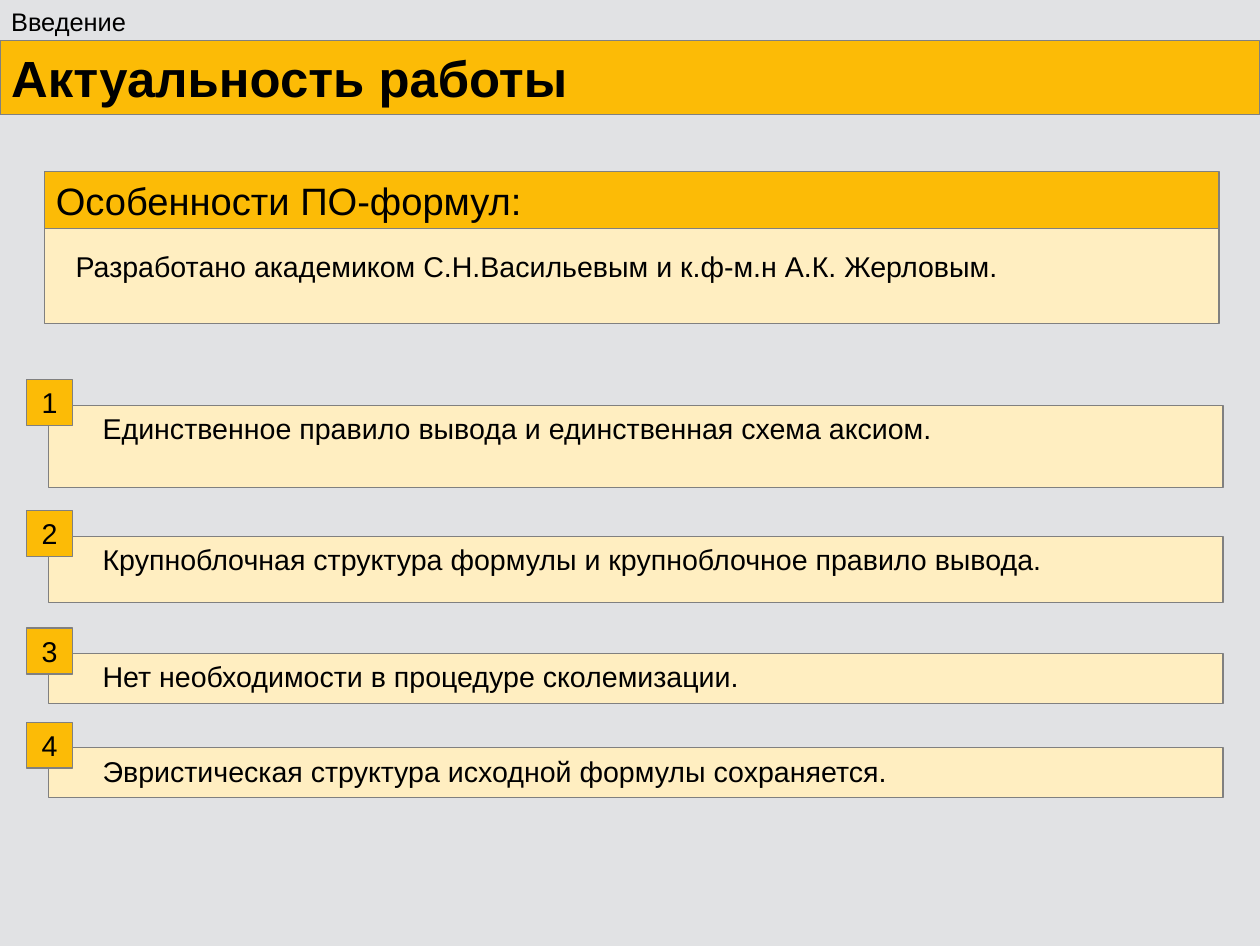
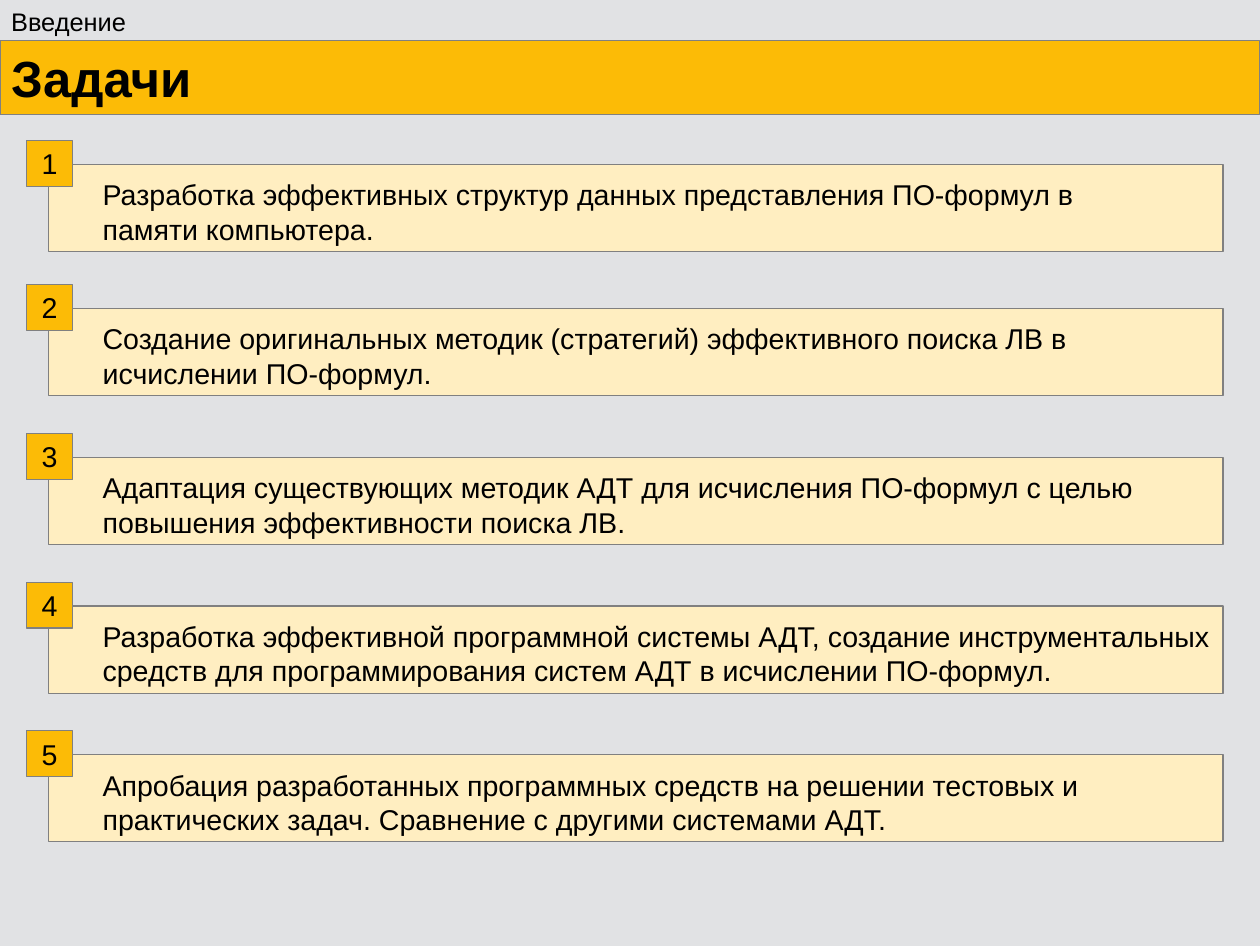
from pptx import Presentation
from pptx.dml.color import RGBColor
from pptx.enum.shapes import MSO_SHAPE
from pptx.enum.text import MSO_ANCHOR, PP_ALIGN
from pptx.util import Cm, Pt

COLORS = {
    "background": "E1E2E4",
    "accent": "FCBB06",
    "panel": "FFEEC1",
    "border": "808080",
    "text": "000000",
}
FONT = "Arial"
SLIDE_WIDTH, SLIDE_HEIGHT = 27.99, 21.01

# Card geometry in centimetres
CARD_WIDTH = 26.09
CARD_LEFT = 1.08
CARD_TEXT_LEFT = 2.03
CARD_TEXT_WIDTH = 25.5
BADGE_LEFT = 0.59
BADGE_SIZE = 1.02

SECTION = "Введение"
FEATURE_BADGE_RISE = 0.57
FEATURES = [  # top, height, text
    (9, 1.83, "Единственное правило вывода и единственная схема аксиом."),
    (11.91, 1.47, "Крупноблочная структура формулы и крупноблочное правило вывода."),
    (14.52, 1.11, "Нет необходимости в процедуре сколемизации."),
    (16.61, 1.11, "Эвристическая структура исходной формулы сохраняется."),
]
TASK_BADGE_RISE = 0.53
TASK_HEIGHT = 1.94
TASK_TEXT_OFFSET = 0.16
TASKS = [  # top, lines of text
    (3.65, ["Разработка эффективных структур данных представления ПО-формул в",
            "памяти компьютера."]),
    (6.85, ["Создание оригинальных методик (стратегий) эффективного поиска ЛВ в",
            "исчислении ПО-формул."]),
    (10.16, ["Адаптация существующих методик АДТ для исчисления ПО-формул с целью",
             "повышения эффективности поиска ЛВ."]),
    (13.46, ["Разработка эффективной программной системы АДТ, создание инструментальных",
             "средств для программирования систем АДТ в исчислении ПО-формул."]),
    (16.76, ["Апробация разработанных программных средств на решении тестовых и",
             "практических задач. Сравнение с другими системами АДТ."]),
]


def color(name):
    return RGBColor.from_string(COLORS[name])


def write_text(shape, lines, size=18, bold=False, align=PP_ALIGN.LEFT,
               anchor=MSO_ANCHOR.TOP):
    frame = shape.text_frame
    frame.word_wrap = True
    frame.vertical_anchor = anchor
    for index, line in enumerate(lines):
        paragraph = frame.paragraphs[0] if index == 0 else frame.add_paragraph()
        paragraph.alignment = align
        run = paragraph.add_run()
        run.text = line
        run.font.name = FONT
        run.font.size = Pt(size)
        run.font.bold = bold
        run.font.color.rgb = color("text")


def add_box(slide, left, top, width, height, fill):
    shape = slide.shapes.add_shape(
        MSO_SHAPE.RECTANGLE, Cm(left), Cm(top), Cm(width), Cm(height))
    shape.shadow.inherit = False
    shape.fill.solid()
    shape.fill.fore_color.rgb = color(fill)
    shape.line.color.rgb = color("border")
    shape.line.width = Pt(0)
    return shape


def add_label(slide, left, top, width, height, lines, **text_format):
    label = slide.shapes.add_textbox(Cm(left), Cm(top), Cm(width), Cm(height))
    write_text(label, lines, **text_format)


def add_band(slide, left, top, width, height, text, **text_format):
    band = add_box(slide, left, top, width, height, "accent")
    write_text(band, [text], anchor=MSO_ANCHOR.MIDDLE, **text_format)


def add_card(slide, number, top, height, lines, badge_rise, text_offset=0):
    add_box(slide, CARD_LEFT, top, CARD_WIDTH, height, "panel")
    add_label(slide, CARD_TEXT_LEFT, top + text_offset, CARD_TEXT_WIDTH,
              0.97 if len(lines) == 1 else 1.68, lines)
    add_band(slide, BADGE_LEFT, top - badge_rise, BADGE_SIZE, BADGE_SIZE,
             str(number), align=PP_ALIGN.CENTER)


def add_titled_slide(presentation, title):
    slide = presentation.slides.add_slide(presentation.slide_layouts[6])
    slide.background.fill.solid()
    slide.background.fill.fore_color.rgb = color("background")
    add_band(slide, 0, 0.9, SLIDE_WIDTH, 1.65, title, size=32, bold=True)
    add_label(slide, 0, 0.02, 3.05, 0.89, [SECTION], size=16)
    return slide


def build_relevance(presentation):
    slide = add_titled_slide(presentation, "Актуальность работы")
    # Headed panel
    add_box(slide, 0.99, 5.08, CARD_WIDTH, 2.11, "panel")
    add_band(slide, 0.99, 3.81, CARD_WIDTH, 1.27, "Особенности ПО-формул:", size=24)
    add_label(slide, 1.43, 5.41, 25, 0.97,
              ["Разработано академиком С.Н.Васильевым и к.ф-м.н А.К. Жерловым."])
    # Numbered features
    for number, (top, height, text) in enumerate(FEATURES, 1):
        add_card(slide, number, top, height, [text], FEATURE_BADGE_RISE)


def build_tasks(presentation):
    slide = add_titled_slide(presentation, "Задачи")
    for number, (top, lines) in enumerate(TASKS, 1):
        add_card(slide, number, top, TASK_HEIGHT, lines, TASK_BADGE_RISE,
                 TASK_TEXT_OFFSET)


def main():
    presentation = Presentation()
    presentation.slide_width = Cm(SLIDE_WIDTH)
    presentation.slide_height = Cm(SLIDE_HEIGHT)
    build_relevance(presentation)
    build_tasks(presentation)
    presentation.save("out.pptx")


if __name__ == "__main__":
    main()
